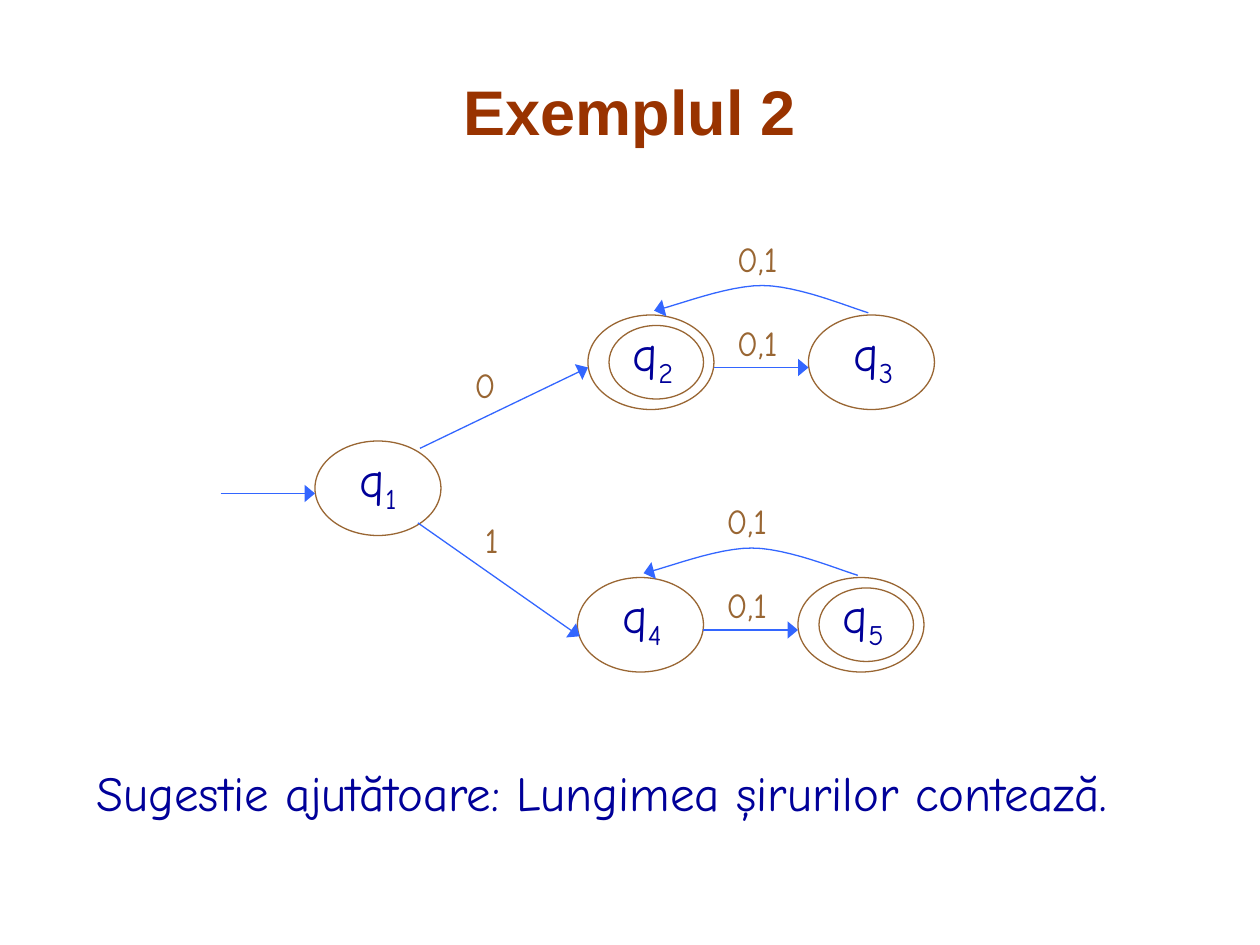
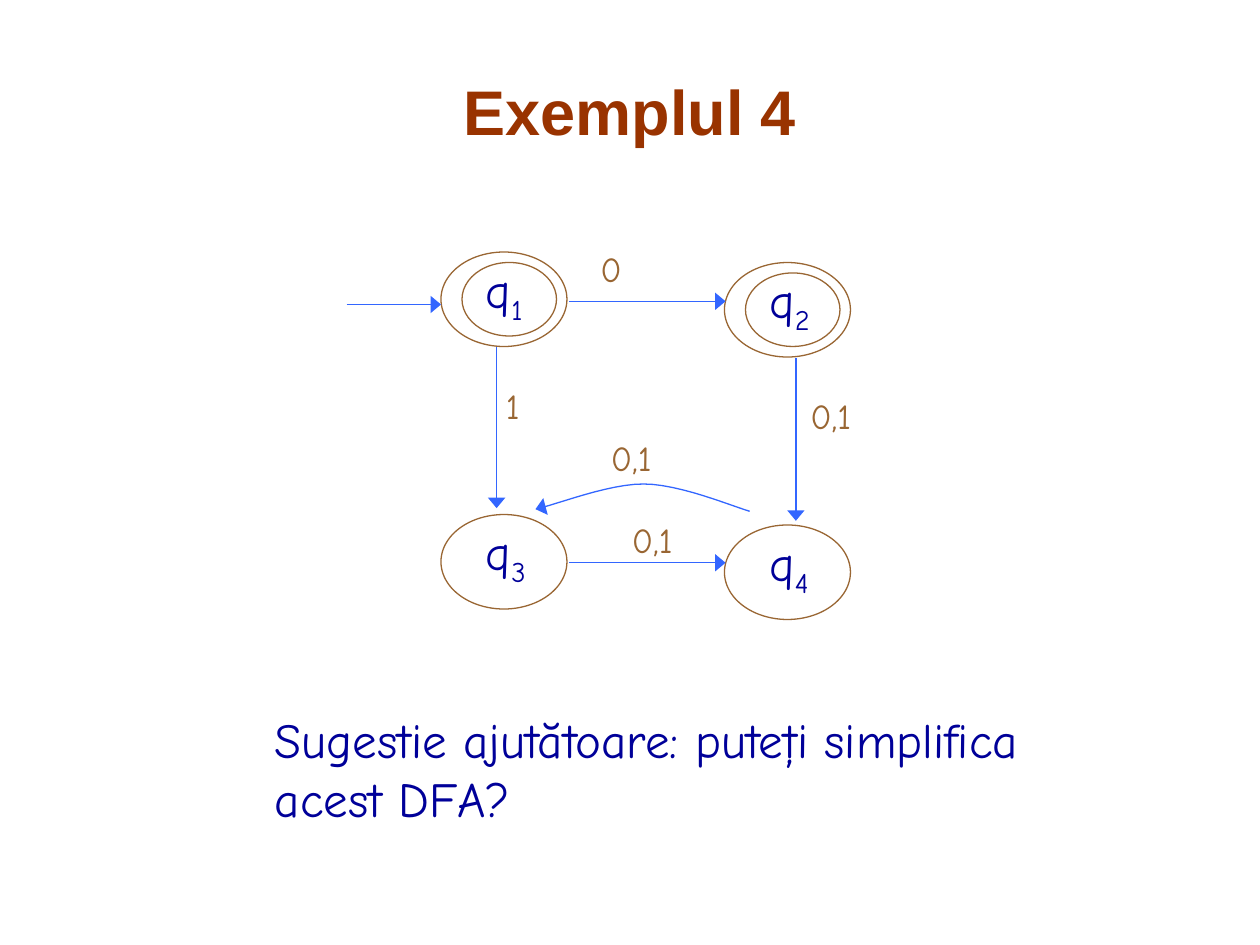
import dataclasses
import typing

import pptx
import pptx.dml.color
import pptx.enum.shapes
import pptx.enum.text
import pptx.oxml
import pptx.oxml.ns
import pptx.util

RGB = pptx.dml.color.RGBColor
SHAPE = pptx.enum.shapes.MSO_SHAPE
ALIGN = pptx.enum.text.PP_ALIGN
ANCHOR = pptx.enum.text.MSO_ANCHOR
Point = tuple[float, float]
Box = tuple[float, float, float, float]

RUST = RGB(0x99, 0x33, 0x00)
NAVY = RGB(0x00, 0x00, 0x99)
BROWN = RGB(0x99, 0x66, 0x33)
BLUE = RGB(0x33, 0x66, 0xFF)
HAND = "Comic Neue"
THIN = pptx.util.Pt(0.75)

# The slide is a grid of 120 columns by 90 rows.
COLS, ROWS = 120, 90
WIDE, HIGH = pptx.util.Inches(10), pptx.util.Inches(7.5)

TITLE = (9, 6, 102, 9)
OUTER = (12, 9)
INNER = (9, 7)
NAME = (8, 7.5)
LABEL = (10, 5.3)
# Bend points of a return arrow, measured from its start.
BEND = ((0, 0), (-1.7, -0.5), (-6.7, -2.6), (-10.1, -2.6),
        (-13.5, -2.6), (-18.2, -0.7), (-20.4, -0.2))
STEPS = 12


@dataclasses.dataclass(frozen=True)
class State:
    index: str
    col: float
    row: float
    final: bool = False


@dataclasses.dataclass(frozen=True)
class Arrow:
    start: Point
    end: Point
    label: str = ""
    spot: Point = (0, 0)


@dataclasses.dataclass(frozen=True)
class Loop:
    start: Point
    label: str
    spot: Point


@dataclasses.dataclass(frozen=True)
class Page:
    title: str
    states: tuple[State, ...]
    arrows: tuple[Arrow, ...]
    loops: tuple[Loop, ...]
    hint: str
    area: Box


PAGES = (
    Page(
        "Exemplul 2",
        (State("1", 30, 42), State("2", 56, 30, True), State("3", 77, 30),
         State("4", 55, 55), State("5", 76, 55, True)),
        (Arrow((21, 47), (30, 47)),
         Arrow((40, 42.7), (56, 35), "0", (44, 34)),
         Arrow((39.8, 49.8), (55.2, 60.6), "1", (45, 48.8)),
         Arrow((68, 35), (77, 35), "0,1", (69, 30)),
         Arrow((67, 60), (76, 60), "0,1", (68, 55))),
        (Loop((82.7, 29.8), "0,1", (69, 22)),
         Loop((81.7, 54.8), "0,1", (68, 47))),
        "Sugestie ajutătoare: Lungimea șirurilor contează.",
        (8, 72, 100, 6.8),
    ),
    Page(
        "Exemplul 4",
        (State("1", 42, 24, True), State("2", 69, 25, True),
         State("3", 42, 49), State("4", 69, 50)),
        (Arrow((33, 29), (42, 29)),
         Arrow((54.2, 28.7), (69.1, 28.7), "0", (56, 23)),
         Arrow((47.3, 33), (47.3, 48.4), "1", (47, 36)),
         Arrow((75.8, 34.1), (75.8, 49.6), "0,1", (76, 37)),
         Arrow((54.2, 53.6), (69.1, 53.6), "0,1", (59, 48.8))),
        (Loop((71.4, 48.7), "0,1", (57, 41)),),
        "Sugestie ajutătoare: puteți simplifica acest DFA?",
        (25, 67, 83, 12.5),
    ),
)


def across(col: float) -> int:
    return round(WIDE * col / COLS)


def down(row: float) -> int:
    return round(HIGH * row / ROWS)


def place(box: Box) -> tuple[int, int, int, int]:
    """Turn a box in columns and rows into slide lengths."""
    left, top, width, height = box
    return across(left), down(top), across(width), down(height)


def write(slide: typing.Any, box: Box, text: str, *, size: float, color: RGB,
          font: str = HAND, bold: bool = False, sub: str = "",
          before: float = 0, align: ALIGN = ALIGN.LEFT,
          anchor: ANCHOR = ANCHOR.TOP) -> None:
    """Add a text box; sub is set as a subscript after the text."""
    frame = slide.shapes.add_textbox(*place(box)).text_frame
    frame.word_wrap = True
    frame.vertical_anchor = anchor
    para = frame.paragraphs[0]
    para.alignment = align
    para.space_before = pptx.util.Pt(before)
    for part in filter(None, (text, sub)):
        run = para.add_run()
        run.text = part
        run.font.name = font
        run.font.size = pptx.util.Pt(size)
        run.font.bold = bold
        run.font.color.rgb = color
    if sub:
        run._r.get_or_add_rPr().set("baseline", "-25000")


def tip(line: typing.Any) -> None:
    """Style a line as a thin blue arrow with a broad head."""
    line.color.rgb = BLUE
    line.width = THIN
    head = pptx.oxml.parse_xml(
        f'<a:tailEnd {pptx.oxml.ns.nsdecls("a")} type="triangle" w="lg"/>')
    line._get_or_add_ln().append(head)


def ring(slide: typing.Any, box: Box) -> None:
    oval = slide.shapes.add_shape(SHAPE.OVAL, *place(box))
    oval.shadow.inherit = False
    oval.fill.background()
    oval.line.color.rgb = BROWN
    oval.line.width = THIN


def node(slide: typing.Any, state: State) -> None:
    ring(slide, (state.col, state.row, *OUTER))
    if state.final:
        ring(slide, (state.col + 2, state.row + 1, *INNER))
    write(slide, (state.col + 3.1, state.row + 0.1, *NAME), "q",
          sub=state.index, size=28, color=NAVY)


def note(slide: typing.Any, edge: Arrow | Loop) -> None:
    if edge.label:
        write(slide, (*edge.spot, *LABEL), edge.label,
              size=20, color=BROWN, before=12.5)


def link(slide: typing.Any, arrow: Arrow) -> None:
    (left, top), (right, low) = arrow.start, arrow.end
    line = slide.shapes.add_connector(
        pptx.enum.shapes.MSO_CONNECTOR.STRAIGHT,
        across(left), down(top), across(right), down(low))
    tip(line.line)
    line._element.spPr.append(pptx.oxml.parse_xml(
        f'<a:effectLst {pptx.oxml.ns.nsdecls("a")}/>'))
    note(slide, arrow)


def bezier(ends: tuple[Point, ...], t: float) -> Point:
    """Find the point at share t of a cubic curve."""
    u = 1 - t
    mix = (u ** 3, 3 * u * u * t, 3 * u * t * t, t ** 3)
    return (sum(m * p[0] for m, p in zip(mix, ends)),
            sum(m * p[1] for m, p in zip(mix, ends)))


def curve(slide: typing.Any, loop: Loop) -> None:
    col, row = loop.start
    dots = [bezier(BEND[at:at + 4], step / STEPS)
            for at in (0, 3) for step in range(1, STEPS + 1)]
    pen = slide.shapes.build_freeform(across(col), down(row))
    pen.add_line_segments(
        [(across(col + x), down(row + y)) for x, y in dots], close=False)
    arc = pen.convert_to_shape()
    arc.shadow.inherit = False
    arc.fill.background()
    tip(arc.line)
    note(slide, loop)


def draw(slide: typing.Any, page: Page) -> None:
    write(slide, TITLE, page.title, size=36, color=RUST, font="Arial",
          bold=True, align=ALIGN.CENTER, anchor=ANCHOR.MIDDLE)
    for state in page.states:
        node(slide, state)
    for arrow in page.arrows:
        link(slide, arrow)
    for loop in page.loops:
        curve(slide, loop)
    write(slide, page.area, page.hint, size=28, color=NAVY, before=17.5)


def main() -> None:
    deck = pptx.Presentation()
    deck.slide_width, deck.slide_height = WIDE, HIGH
    for page in PAGES:
        draw(deck.slides.add_slide(deck.slide_layouts[6]), page)
    deck.save("out.pptx")


if __name__ == "__main__":
    main()
